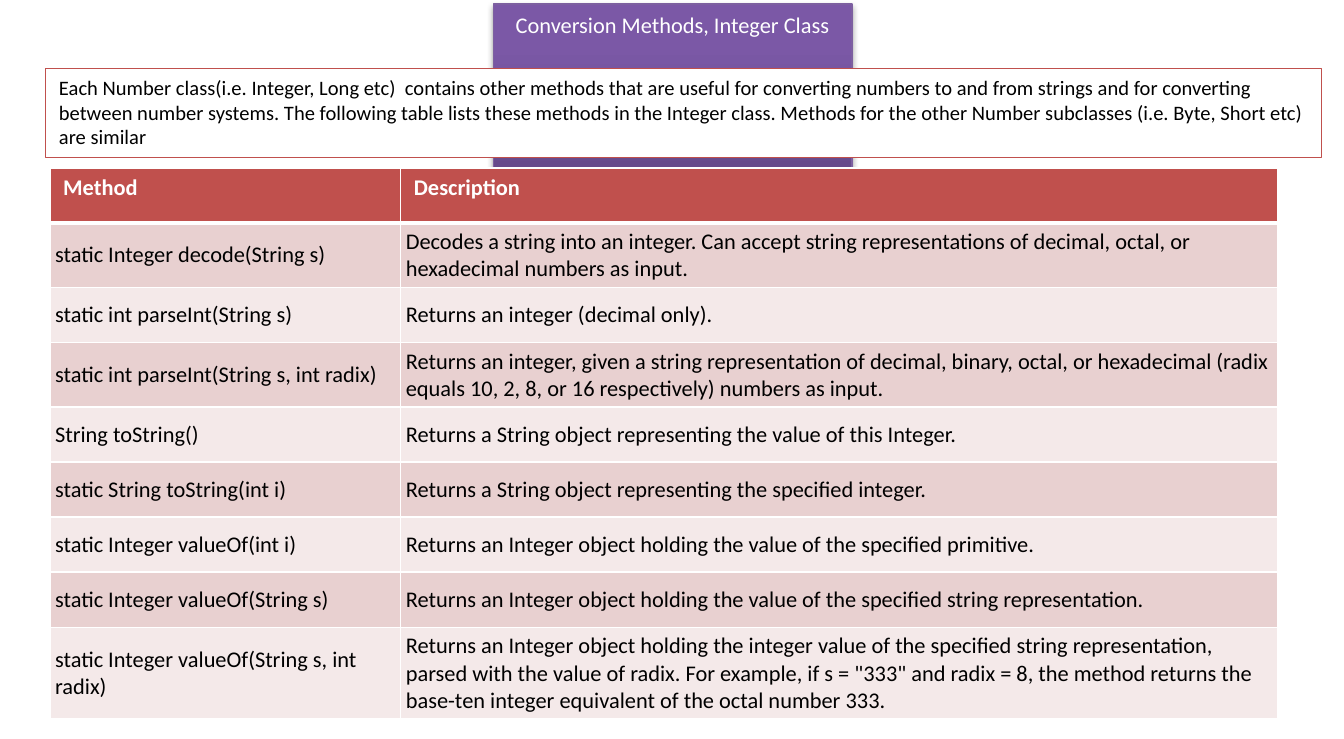
from copy import deepcopy
from typing import NamedTuple

from lxml.etree import SubElement
from pptx import Presentation
from pptx.dml.color import RGBColor
from pptx.enum.text import MSO_ANCHOR, MSO_AUTO_SIZE, PP_ALIGN
from pptx.oxml.ns import qn
from pptx.util import Inches, Pt

FONT = "Calibri"
WHITE = RGBColor(0xFF, 0xFF, 0xFF)
BLACK = RGBColor(0x00, 0x00, 0x00)
RED = RGBColor(0xC0, 0x50, 0x4D)
DARK_PINK = RGBColor(0xE8, 0xD0, 0xD0)
LIGHT_PINK = RGBColor(0xF4, 0xE9, 0xE9)
PURPLE_LINE = RGBColor(0x7D, 0x60, 0xA0)
PURPLE_STOPS = (
    (0, RGBColor(0x5F, 0x44, 0x80)),
    (0.8, RGBColor(0x7B, 0x58, 0xA6)),
    (1, RGBColor(0x7C, 0x57, 0xA8)),
)


class Method(NamedTuple):
    signature: str
    description: str


TITLE = "Conversion Methods, Integer Class"
INTRO = (
    "Each Number class(i.e. Integer, Long etc)  contains other methods that are useful "
    "for converting numbers to and from strings and for converting",
    "between number systems. The following table lists these methods in the Integer class. "
    "Methods for the other Number subclasses (i.e. Byte, Short etc)",
    "are similar",
)
HEADER = Method("Method", "Description")
METHODS = (
    Method("static Integer decode(String s)",
           "Decodes a string into an integer. Can accept string representations of decimal, "
           "octal, or hexadecimal numbers as input."),
    Method("static int parseInt(String s)", "Returns an integer (decimal only)."),
    Method("static int parseInt(String s, int radix)",
           "Returns an integer, given a string representation of decimal, binary, octal, or "
           "hexadecimal (radix equals 10, 2, 8, or 16 respectively) numbers as input."),
    Method("String toString()",
           "Returns a String object representing the value of this Integer."),
    Method("static String toString(int i)",
           "Returns a String object representing the specified integer."),
    Method("static Integer valueOf(int i)",
           "Returns an Integer object holding the value of the specified primitive."),
    Method("static Integer valueOf(String s)",
           "Returns an Integer object holding the value of the specified string representation."),
    Method("static Integer valueOf(String s, int radix)",
           "Returns an Integer object holding the integer value of the specified string "
           "representation, parsed with the value of radix. For example, if s = \"333\" and "
           "radix = 8, the method returns the base-ten integer equivalent of the octal number 333."),
)


def add_span(para, text: str, size: float, color: RGBColor, bold: bool = False) -> None:
    span = para.add_run()
    span.text = text
    span.font.name = FONT
    span.font.size = Pt(size)
    span.font.bold = bold
    span.font.color.rgb = color


def add_shadow(box) -> None:
    effects = SubElement(box._element.spPr, qn("a:effectLst"))
    shadow = SubElement(effects, qn("a:outerShdw"), blurRad=str(Pt(3.1)), dist=str(Pt(1.8)),
                        dir="5400000", rotWithShape="0")
    color = SubElement(shadow, qn("a:srgbClr"), val=str(BLACK))
    SubElement(color, qn("a:alpha"), val="35000")


def fill_gradient(box) -> None:
    box.fill.gradient()
    box.fill.gradient_angle = 90
    last = box.fill.gradient_stops[1]._gs
    last.addnext(deepcopy(last))
    for stop, (position, color) in zip(box.fill.gradient_stops, PURPLE_STOPS):
        stop.position = position
        stop.color.rgb = color


def add_title(page) -> None:
    box = page.shapes.title
    box.left, box.top, box.width, box.height = (Inches(n) for n in (3.67, 0.03, 2.67, 0.3))
    fill_gradient(box)
    box.line.color.rgb = PURPLE_LINE
    box.line.width = Pt(0.75)
    add_shadow(box)
    frame = box.text_frame
    frame.auto_size = MSO_AUTO_SIZE.SHAPE_TO_FIT_TEXT
    frame.vertical_anchor = MSO_ANCHOR.TOP
    para = frame.paragraphs[0]
    para.alignment = PP_ALIGN.CENTER
    add_span(para, TITLE, 12, WHITE)


def add_intro(page) -> None:
    box = page.shapes.add_textbox(Inches(0.34), Inches(0.51), Inches(9.49), Inches(0.66))
    box.fill.solid()
    box.fill.fore_color.rgb = WHITE
    box.line.color.rgb = RED
    box.line.width = Pt(0.25)
    frame = box.text_frame
    frame.word_wrap = False
    frame.auto_size = MSO_AUTO_SIZE.SHAPE_TO_FIT_TEXT
    for index, text in enumerate(INTRO):
        para = frame.add_paragraph() if index else frame.paragraphs[0]
        add_span(para, text, 11, BLACK)


def set_borders(cell, top: float, bottom: float) -> None:
    properties = cell._tc.get_or_add_tcPr()
    widths = {"a:lnL": 1, "a:lnR": 1, "a:lnT": top, "a:lnB": bottom}
    for position, (tag, width) in enumerate(widths.items()):
        line = SubElement(properties, qn(tag), w=str(Pt(width)))
        fill = SubElement(line, qn("a:solidFill"))
        SubElement(fill, qn("a:srgbClr"), val=str(WHITE))
        properties.insert(position, line)


def add_method_table(page) -> None:
    rows = (HEADER, *METHODS)
    table = page.shapes.add_table(len(rows), 2, Inches(0.37), Inches(1.25),
                                  Inches(9.14), Inches(0.41 * len(rows))).table
    for column, width in zip(table.columns, (2.61, 6.53)):
        column.width = Inches(width)
    for r, method in enumerate(rows):
        table.rows[r].height = Inches(0.41)
        is_header = r == 0
        for c, text in enumerate(method):
            cell = table.cell(r, c)
            cell.fill.solid()
            cell.fill.fore_color.rgb = RED if is_header else DARK_PINK if r % 2 else LIGHT_PINK
            set_borders(cell, top=3 if r == 1 else 1, bottom=3 if is_header else 1)
            if not is_header:
                cell.vertical_anchor = MSO_ANCHOR.MIDDLE
                cell.margin_left = cell.margin_right = Inches(0.04)
                cell.margin_top = cell.margin_bottom = Inches(0.04)
            add_span(cell.text_frame.paragraphs[0], text, 12,
                     WHITE if is_header else BLACK, bold=is_header)


def main() -> None:
    deck = Presentation()
    deck.slide_width, deck.slide_height = Inches(10), Inches(5.5)
    page = deck.slides.add_slide(deck.slide_layouts[5])  # title only
    add_title(page)
    add_intro(page)
    add_method_table(page)
    deck.save("out.pptx")


if __name__ == "__main__":
    main()
